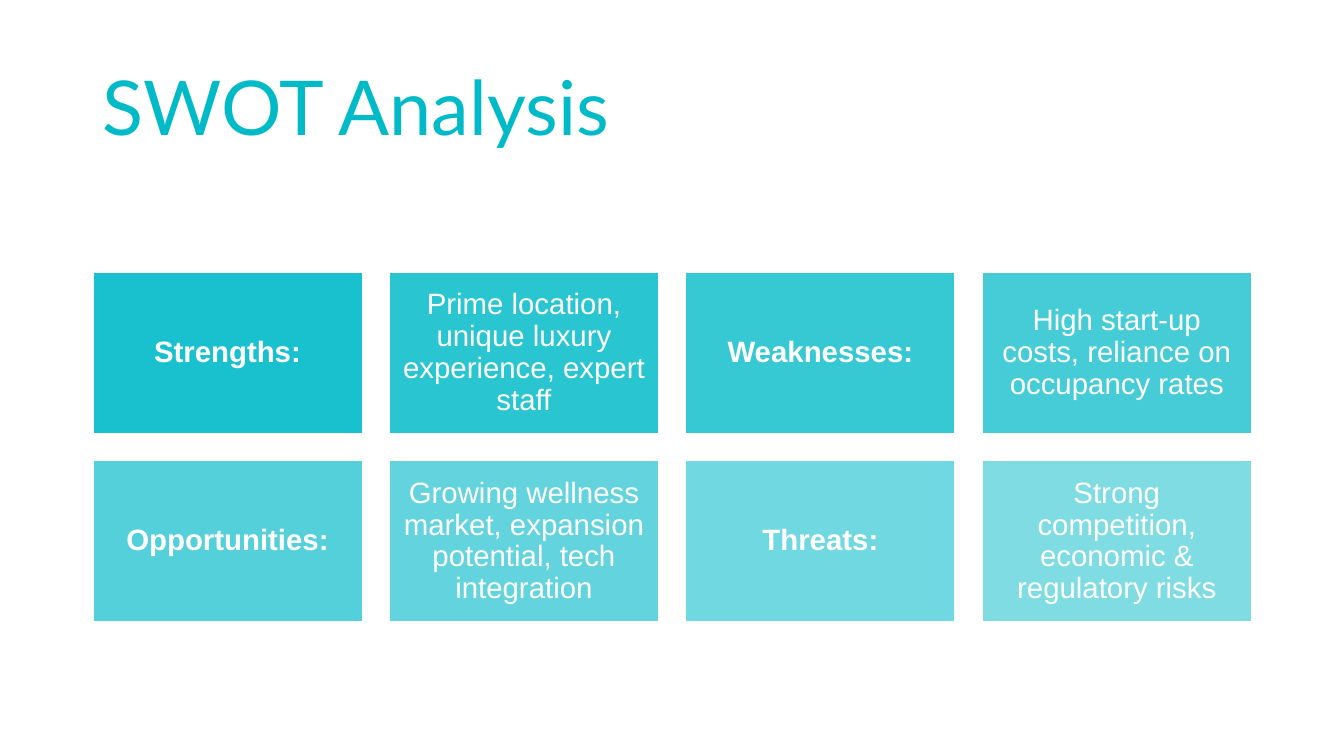
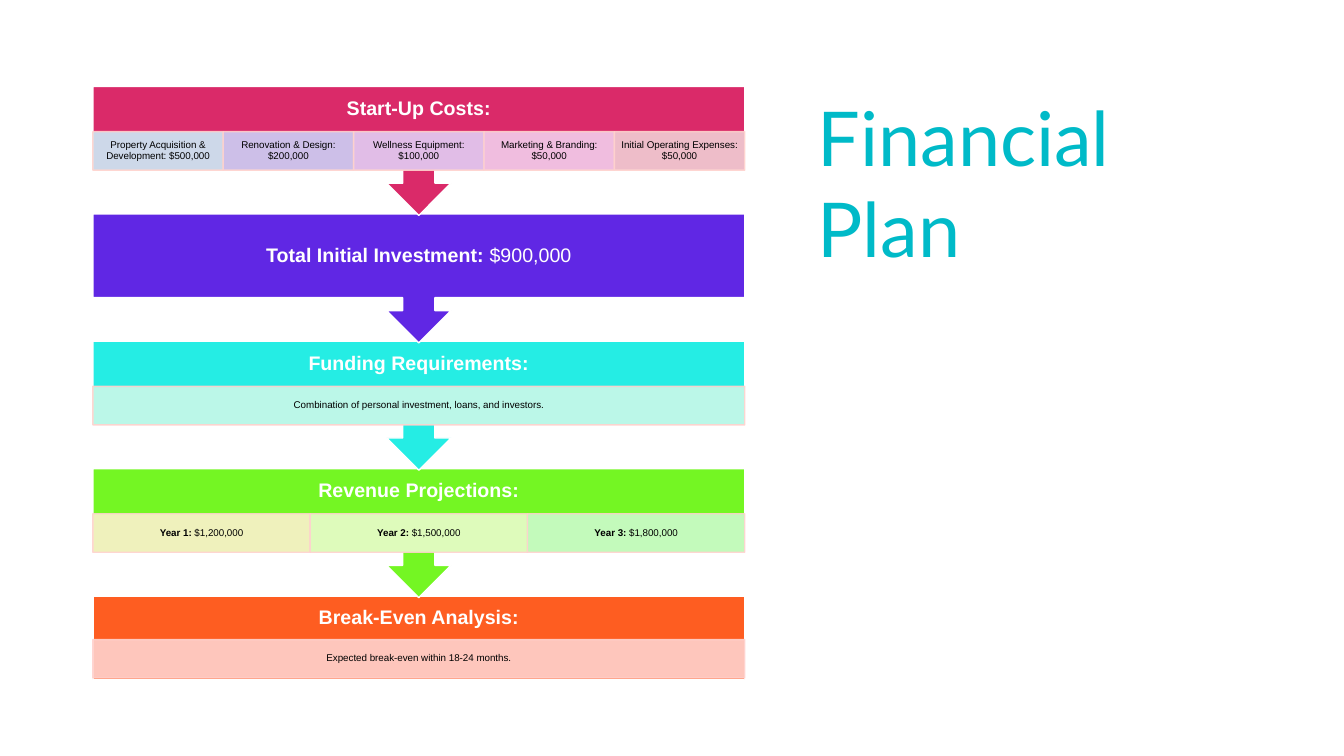
import pptx
import pptx.util
import pptx.dml.color
import pptx.enum.shapes
import pptx.enum.text
import pptx.oxml.ns
from lxml import etree

Cm = pptx.util.Cm
Shape = pptx.enum.shapes.MSO_SHAPE
Align = pptx.enum.text.PP_ALIGN
Anchor = pptx.enum.text.MSO_ANCHOR
qn = pptx.oxml.ns.qn

TEAL = "00BAC8"
WHITE = "FFFFFF"
BLACK = "000000"
PINK = "FFD2CD"
LEFT = 2.34

SWOT = [
    ("Strengths:", "Prime location, unique luxury experience, expert staff"),
    ("Weaknesses:", "High start-up costs, reliance on occupancy rates"),
    ("Opportunities:", "Growing wellness market, expansion potential, tech integration"),
    ("Threats:", "Strong competition, economic & regulatory risks"),
]

STAGES = [
    ("Start-Up Costs:", "", "DA2A69", [
        ("", "Property Acquisition & Development: $500,000", "CCECF8"),
        ("", "Renovation & Design: $200,000", "CCD0F6"),
        ("", "Wellness Equipment: $100,000", "E2CDF5"),
        ("", "Marketing & Branding: $50,000", "F3CDEC"),
        ("", "Initial Operating Expenses: $50,000", "F1CDD4"),
    ]),
    ("Total Initial Investment:", " $900,000", "6027E4", []),
    ("Funding Requirements:", "", "25EDE4", [
        ("", "Combination of personal investment, loans, and investors.", "CCF9E9"),
    ]),
    ("Revenue Projections:", "", "74F623", [
        ("Year 1:", " $1,200,000", "FDF1CD"),
        ("Year 2:", " $1,500,000", "EAFCCC"),
        ("Year 3:", " $1,800,000", "CCFBCC"),
    ]),
    ("Break-Even Analysis:", "", "FE5D21", [
        ("", "Expected break-even within 18-24 months.", PINK),
    ]),
]


def paint(fill, color, owner=None, opacity=100):
    """Fill with a hex colour, see-through when the owning element is given."""
    fill.solid()
    fill.fore_color.rgb = pptx.dml.color.RGBColor.from_string(color)
    if opacity < 100:
        tone = owner.find(qn("a:solidFill")).find(qn("a:srgbClr"))
        etree.SubElement(tone, qn("a:alpha")).set("val", str(round(opacity * 1000)))


def write(frame, text, lead="", size=14, color=WHITE, font="Arial",
          align=Align.CENTER, anchor=Anchor.MIDDLE, spacing=0.9):
    """Write one paragraph, with an optional bold lead before the text."""
    frame.word_wrap = True
    frame.auto_size = pptx.enum.text.MSO_AUTO_SIZE.NONE
    frame.vertical_anchor = anchor
    para = frame.paragraphs[0]
    para.alignment = align
    para.line_spacing = spacing
    for words, bold in ((lead, True), (text, False)):
        if words:
            span = para.add_run()
            span.text = words
            span.font.name = font
            span.font.size = pptx.util.Pt(size)
            span.font.bold = bold
            paint(span.font.fill, color)


class Deck:
    """Holds the shared style and the current slide."""

    def __init__(self):
        """Start a widescreen presentation."""
        self.deck = pptx.Presentation()
        self.deck.slide_width = Cm(33.87)
        self.deck.slide_height = Cm(19.05)
        self.page = None

    def new_page(self, title, left, top, width, height, anchor):
        """Add a slide with its title."""
        self.page = self.deck.slides.add_slide(self.deck.slide_layouts[5])
        box = self.page.shapes.title
        box.left, box.top, box.width, box.height = map(Cm, (left, top, width, height))
        write(box.text_frame, title, size=54, color=TEAL, font="Lato",
              align=Align.LEFT, anchor=anchor, spacing=1.0)

    def block(self, left, top, width, height, fill, kind=Shape.RECTANGLE, opacity=100,
              line=WHITE, line_opacity=100, insets=(0.23, 0.23, 0.23, 0.23), **text_format):
        """Add a filled shape with text inside it."""
        box = self.page.shapes.add_shape(kind, *map(Cm, (left, top, width, height)))
        box.shadow.inherit = False
        properties = box.element.spPr
        paint(box.fill, fill, properties, opacity)
        box.line.width = pptx.util.Pt(1)
        paint(box.line.fill, line, properties.find(qn("a:ln")), line_opacity)
        frame = box.text_frame
        (frame.margin_left, frame.margin_top,
         frame.margin_right, frame.margin_bottom) = map(Cm, insets)
        write(frame, **text_format)
        return box

    def stage(self, top, heading, value, color, details, last):
        """Add one step of the flow with its row of details."""
        width, height, detail_height = 16.43, 2.11 if last else 3.25, 0.97
        bottom = 0.28 + (detail_height if details else 0)
        box = self.block(LEFT, top, width, height, color,
                         kind=Shape.RECTANGLE if last else Shape.DOWN_ARROW_CALLOUT,
                         insets=(0.28, 0.28, 0.28, bottom), lead=heading, text=value)
        if not last:
            for index, ratio in enumerate((0.25, 0.25, 0.25, 0.65)):
                box.adjustments[index] = ratio
        offset = height * (0.52 if last else 0.35)
        for index, (lead, text, tint) in enumerate(details):
            cell = width / len(details)
            self.block(LEFT + index * cell, top + offset, cell, detail_height, tint,
                       opacity=90, line=PINK, line_opacity=90,
                       insets=(0.13, 0.03, 0.13, 0.03),
                       lead=lead, text=text, size=7, color=BLACK)

    def save(self):
        """Save the presentation."""
        self.deck.save("out.pptx")


def build_swot(deck):
    """Build the SWOT grid, fading from first to last card."""
    deck.new_page("SWOT Analysis", LEFT, 1.02, 29.64, 2.9, Anchor.BOTTOM)
    cards = [card for heading, text in SWOT for card in ((heading, ""), ("", text))]
    for index, (lead, text) in enumerate(cards):
        row, column = divmod(index, 4)
        deck.block(LEFT + column * 7.47, 6.86 + row * 4.75, 6.79, 4.07, TEAL,
                   opacity=90 - 40 * index / (len(cards) - 1),
                   lead=lead, text=text, size=21)


def build_financial_plan(deck):
    """Build the flow from the bottom up, so arrows lie over the next step."""
    deck.new_page("Financial Plan", 20.35, 2.16, 11.2, 14.99, Anchor.TOP)
    final = len(STAGES) - 1
    for index in range(final, -1, -1):
        deck.stage(2.18 + index * 3.21, *STAGES[index], last=index == final)


def main():
    """Build and save both slides."""
    deck = Deck()
    build_swot(deck)
    build_financial_plan(deck)
    deck.save()


if __name__ == "__main__":
    main()
